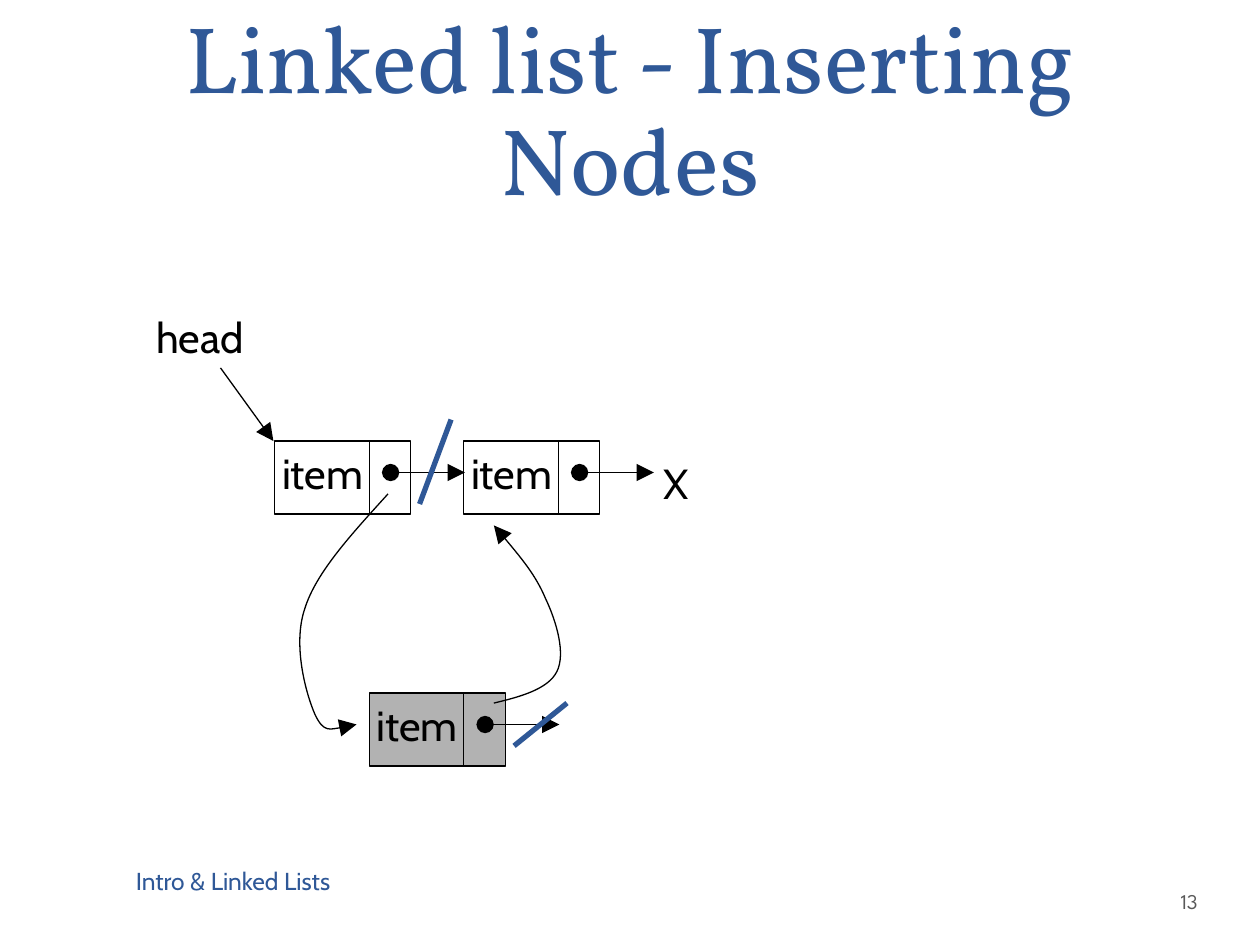
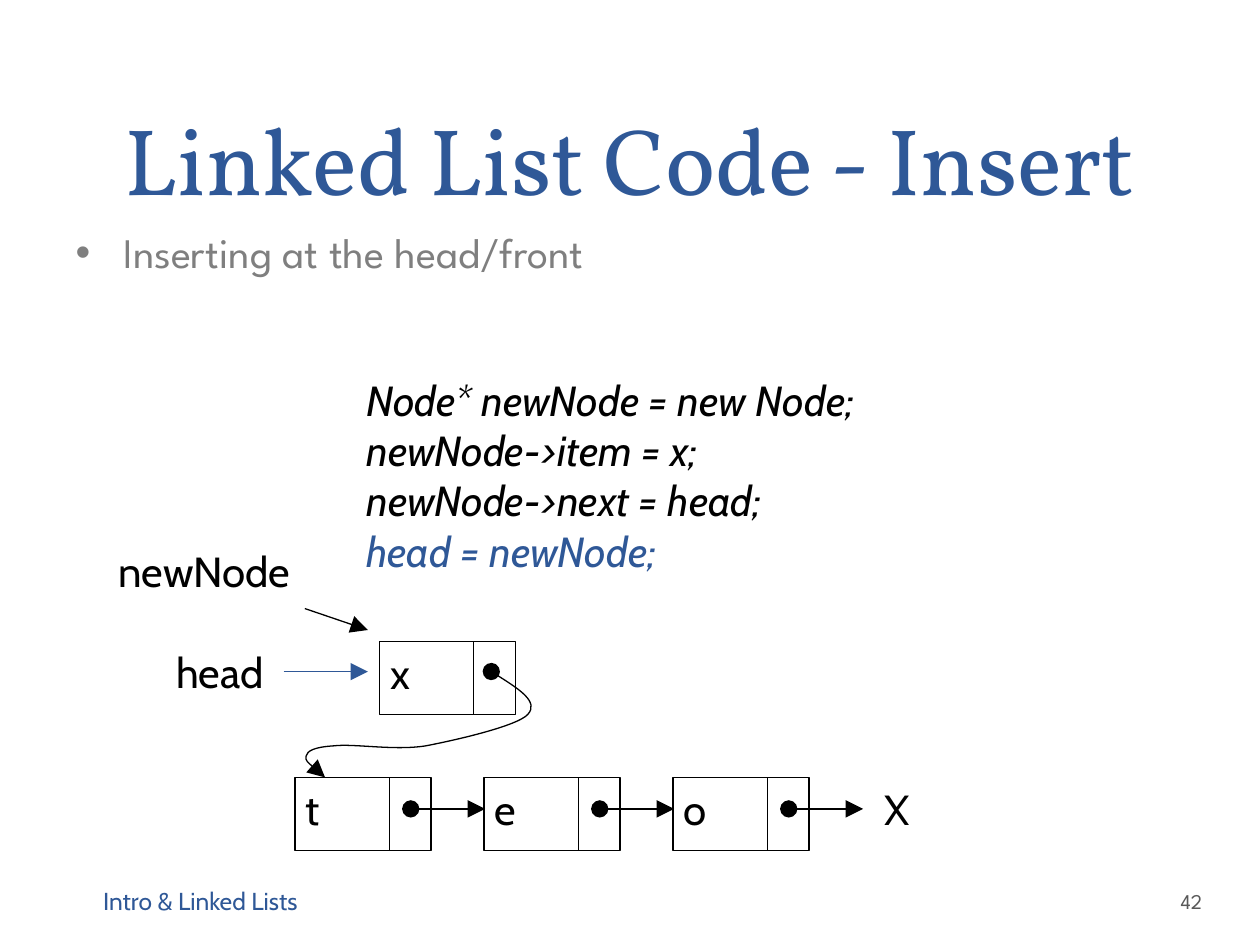
from lxml.etree import SubElement
from pptx import Presentation
from pptx.dml.color import RGBColor
from pptx.enum.shapes import MSO_CONNECTOR as CONNECTOR, MSO_SHAPE as SHAPE
from pptx.enum.text import MSO_ANCHOR as ANCHOR, MSO_AUTO_SIZE as AUTO_SIZE, PP_ALIGN as ALIGN
from pptx.oxml.ns import qn
from pptx.util import Pt

PX = 9144  # 100 px to the inch
BLUE, BLACK, GREY, DARK_GREY, NODE_GREY = "2F5897", "000000", "7F7F7F", "595959", "B2B2B2"
TITLE_FONT, BODY_FONT, LABEL_FONT = "Vollkorn", "League Spartan", "Cabin"
NODE_WIDTH, NODE_HEIGHT, DIVIDER, POINTER, POINTER_LENGTH = 108, 58, 75, 92, 59
LABEL_HEIGHT = 50


def write(shape, text, size, font=LABEL_FONT, color=BLACK, wrap=True, anchor=ANCHOR.TOP):
    frame = shape.text_frame
    frame.text = text
    frame.word_wrap = wrap
    frame.auto_size = AUTO_SIZE.NONE if wrap else AUTO_SIZE.SHAPE_TO_FIT_TEXT
    frame.vertical_anchor = anchor
    for para in frame.paragraphs:
        for span in para.runs:
            span.font.name = font
            span.font.size = Pt(size)
            span.font.color.rgb = RGBColor.from_string(color)
    return frame


def stroke(shape, color=BLACK, width=0.75, head=None, tail=None):
    """Give a shape or connector a plain line with optional ends and no shadow."""
    shape.line.color.rgb = RGBColor.from_string(color)
    shape.line.width = Pt(width)
    properties = shape._element.spPr
    outline = properties.find(qn("a:ln"))
    for tag, end in (("a:headEnd", head), ("a:tailEnd", tail)):
        if end:
            SubElement(outline, qn(tag), type=end, w="lg", len="lg")
    SubElement(properties, qn("a:effectLst"))


# Nodes: left, top, text, fill, has a straight pointer
# Lines: start, end, colour, width, tail
# Curves: head, start point and then three Bezier points for each segment
pages = [
    dict(
        title="Linked list - Inserting Nodes", layout=5, number="13",
        footer=(98, 674, 433, 50), text_shift=-4, text_width=90,
        labels=[(114, 242, 98, "head"), (517, 358, 39, "X")],
        nodes=[(218, 350, "item", None, True), (368, 350, "item", None, True),
               (293, 550, "item", NODE_GREY, True)],
        lines=[((175, 292), (217, 350), BLACK, 0.75, "triangle"),
               ((358, 333), (333, 400), BLUE, 3, None),
               ((450, 558), (408, 592), BLUE, 3, None)],
        curves=[(None, [(308, 392), (280, 423), (251, 454), (242, 483), (232, 512),
                        (243, 551), (250, 567), (257, 582), (270, 578), (283, 575)]),
                (None, [(392, 558), (413, 553), (435, 547), (442, 533), (449, 519),
                        (442, 494), (433, 475), (425, 456), (408, 436), (392, 417)])],
    ),
    dict(
        title="Linked List Code - Insert", layout=1, number="42",
        footer=(72, 695, 311, 40), text_shift=-1, text_width=39,
        labels=[(130, 508, 98, "head"), (692, 617, 39, "X"), (84, 428, 170, "newNode")],
        nodes=[(234, 617, "t", None, True), (384, 617, "e", None, True),
               (534, 617, "o", None, True), (301, 509, "x", None, False)],
        lines=[((242, 483), (292, 500), BLACK, 0.75, "triangle"),
               ((225, 533), (292, 533), BLUE, 0.75, "triangle")],
        curves=[("oval", [(390, 533), (409, 545), (428, 557), (419, 567), (411, 576),
                          (364, 587), (338, 592), (313, 596), (281, 590), (265, 592),
                          (249, 593), (244, 596), (243, 600), (242, 604), (250, 610),
                          (258, 617)])],
    ),
]

deck = Presentation()
deck.slide_width, deck.slide_height = 1000 * PX, 750 * PX

for content in pages:
    page = deck.slides.add_slide(deck.slide_layouts[content["layout"]])
    shapes = page.shapes

    title = shapes.title
    title.left, title.top, title.width, title.height = 50 * PX, 0, 900 * PX, 175 * PX
    heading = write(title, content["title"], 54, TITLE_FONT, BLUE, anchor=ANCHOR.BOTTOM)
    heading.paragraphs[0].alignment = ALIGN.CENTER
    heading.paragraphs[0].line_spacing = Pt(58)

    footer = shapes.add_textbox(*[length * PX for length in content["footer"]])
    write(footer, "Intro & Linked Lists", 14, color=BLUE, anchor=ANCHOR.MIDDLE)
    number = shapes.add_textbox(934 * PX, 695 * PX, 61 * PX, 40 * PX)
    number_frame = write(number, content["number"], 12, BODY_FONT, DARK_GREY,
                         anchor=ANCHOR.MIDDLE)
    number_frame.margin_left, number_frame.margin_right = 3 * PX, 5 * PX

    labels, lines = list(content["labels"]), list(content["lines"])
    pointers = []
    for left, top, text, fill, has_pointer in content["nodes"]:
        node = shapes.add_shape(SHAPE.RECTANGLE, left * PX, top * PX,
                                NODE_WIDTH * PX, NODE_HEIGHT * PX)
        if fill:
            node.fill.solid()
            node.fill.fore_color.rgb = RGBColor.from_string(fill)
        else:
            node.fill.background()
        stroke(node)
        labels.append((left + content["text_shift"], top, content["text_width"], text))
        divider = left + DIVIDER
        pointers.append(((divider, top), (divider, top + NODE_HEIGHT), None, None))
        if has_pointer:
            start = left + POINTER
            pointers.append(((start, top + 25), (start + POINTER_LENGTH, top + 25),
                             "oval", "triangle"))

    for left, top, width, text in labels:
        label = shapes.add_textbox(left * PX, top * PX, width * PX, LABEL_HEIGHT * PX)
        write(label, text, 24, wrap=False)

    all_lines = [(start, end, BLACK, 0.75, head, tail) for start, end, head, tail in pointers]
    all_lines += [(start, end, color, width, None, tail)
                  for start, end, color, width, tail in lines]
    for start, end, color, width, head, tail in all_lines:
        line = shapes.add_connector(CONNECTOR.STRAIGHT,
                                    *[length * PX for length in start + end])
        stroke(line, color, width, head, tail)

    for head, points in content["curves"]:
        (start_x, start_y), *rest = points
        builder = shapes.build_freeform(start_x, start_y, scale=PX)
        builder.add_line_segments(rest, close=False)
        curve = builder.convert_to_shape()
        # Every three straight segments become one Bezier segment
        segments = list(curve._element.iter(qn("a:lnTo")))
        for index in range(0, len(segments), 3):
            bezier = SubElement(segments[index].getparent(), qn("a:cubicBezTo"))
            for segment in segments[index:index + 3]:
                bezier.append(segment[0])
                segment.getparent().remove(segment)
        curve.fill.background()
        stroke(curve, head=head, tail="triangle")

body = page.placeholders[1]
body.left, body.top, body.width, body.height = 50 * PX, 175 * PX, 900 * PX, 495 * PX
para = write(body, "Inserting at the head/front", 24, BODY_FONT, GREY).paragraphs[0]
para.space_before = Pt(0)
para_properties = para._p.get_or_add_pPr()
para_properties.set("marL", str(38 * PX))
para_properties.set("indent", str(-38 * PX))
bullet_color = SubElement(para_properties, qn("a:buClr"))
SubElement(bullet_color, qn("a:srgbClr"), val=GREY)
SubElement(para_properties, qn("a:buChar"), char="•")

code = shapes.add_textbox(281 * PX, 292 * PX, 455 * PX, 170 * PX)
code_lines = ["Node* newNode = new Node;", "newNode->item = x;",
              "newNode->next = head;", "head = newNode;"]
code_frame = write(code, "\n".join(code_lines), 24, wrap=False)
for para in code_frame.paragraphs:
    para.runs[0].font.italic = True
code_frame.paragraphs[-1].runs[0].font.color.rgb = RGBColor.from_string(BLUE)

deck.save("out.pptx")
